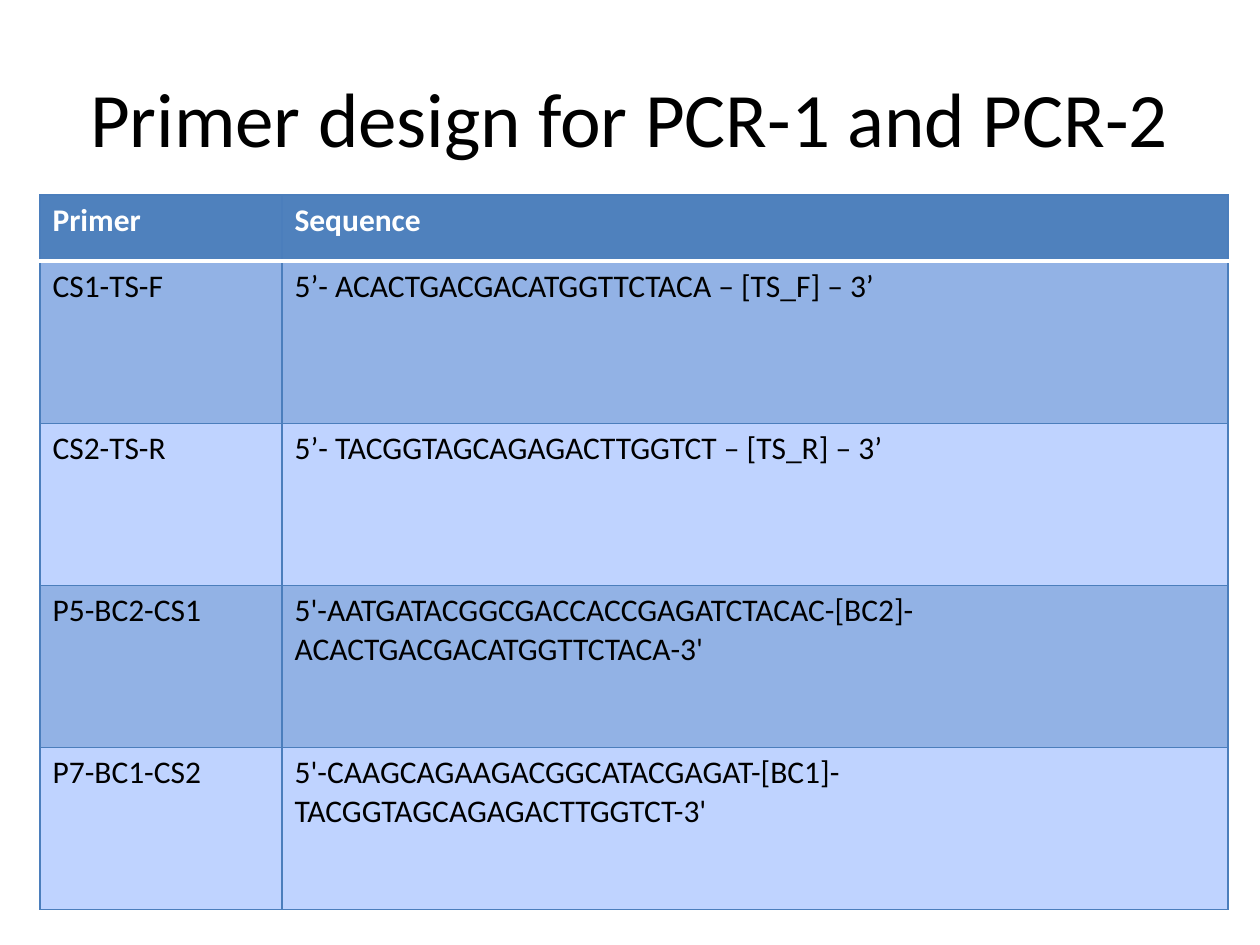
import lxml.etree
import pptx
import pptx.dml.color
import pptx.enum.text
import pptx.oxml.ns
import pptx.util

RGBColor = pptx.dml.color.RGBColor
BLACK = RGBColor(0x00, 0x00, 0x00)
WHITE = RGBColor(0xFF, 0xFF, 0xFF)
HEADER = RGBColor(0x4F, 0x81, 0xBD)
BAND_DARK = RGBColor(0x92, 0xB2, 0xE5)
BAND_LIGHT = RGBColor(0xBF, 0xD3, 0xFF)
BORDER = RGBColor(0x4B, 0x7E, 0xBC)

FONT = "Calibri"
PX_PER_INCH = 126
PRIMERS = [
    ("Primer", "Sequence"),
    ("CS1-TS-F", "5’- ACACTGACGACATGGTTCTACA – [TS_F] – 3’"),
    ("CS2-TS-R", "5’- TACGGTAGCAGAGACTTGGTCT – [TS_R] – 3’"),
    ("P5-BC2-CS1", "5'-AATGATACGGCGACCACCGAGATCTACAC-[BC2]-ACACTGACGACATGGTTCTACA-3'"),
    ("P7-BC1-CS2", "5'-CAAGCAGAAGACGGCATACGAGAT-[BC1]-TACGGTAGCAGAGACTTGGTCT-3'"),
]


def px(n):
    return pptx.util.Emu(round(n * 914400 / PX_PER_INCH))


def format_text(tf, size, color, bold=False):
    for p in tf.paragraphs:
        for r in p.runs:
            r.font.name = FONT
            r.font.size = pptx.util.Pt(size)
            r.font.bold = bold
            r.font.color.rgb = color


def set_borders(cell, borders):
    """Draw borders given in the order left, right, top, bottom."""
    tc_pr = cell._tc.get_or_add_tcPr()
    qn = pptx.oxml.ns.qn
    for i, (side, (color, width)) in enumerate(borders.items()):
        ln = lxml.etree.Element(qn(f"a:ln{side}"), w=str(pptx.util.Pt(width)))
        fill = lxml.etree.SubElement(ln, qn("a:solidFill"))
        lxml.etree.SubElement(fill, qn("a:srgbClr"), val=str(color))
        tc_pr.insert(i, ln)


def add_title(slide, box, text):
    title = slide.shapes.title
    title.left, title.top, title.width, title.height = map(px, box)
    tf = title.text_frame
    tf.text = text
    tf.vertical_anchor = pptx.enum.text.MSO_ANCHOR.MIDDLE
    tf.paragraphs[0].alignment = pptx.enum.text.PP_ALIGN.CENTER
    format_text(tf, 44, BLACK)


def add_primer_table(slide, box, rows, name_width, header_height):
    left, top, width, height = box
    table = slide.shapes.add_table(len(rows), 2, *map(px, box)).table

    # Column widths and row heights
    table.columns[0].width = px(name_width)
    table.columns[1].width = px(width - name_width)
    body_height = (height - header_height) / (len(rows) - 1)
    for i, row in enumerate(table.rows):
        row.height = px(body_height if i else header_height)

    # Text, fills and borders
    thin, rule = (BORDER, 0.75), (WHITE, 2)
    for i, values in enumerate(rows):
        is_header = i == 0
        band = BAND_DARK if i % 2 else BAND_LIGHT
        for j, value in enumerate(values):
            cell = table.cell(i, j)
            cell.text = value
            format_text(cell.text_frame, 18, WHITE if is_header else BLACK, is_header)
            cell.fill.solid()
            cell.fill.fore_color.rgb = HEADER if is_header else band
            set_borders(cell, {
                "L": thin,
                "R": thin,
                "T": rule if i == 1 else thin,
                "B": rule if is_header else thin,
            })


def main():
    prs = pptx.Presentation()
    prs.slide_width, prs.slide_height = px(1260), px(945)
    slide = prs.slides.add_slide(prs.slide_layouts[5])
    add_title(slide, (63, 38, 1134, 157), "Primer design for PCR-1 and PCR-2")
    add_primer_table(slide, (40, 195, 1188, 715), PRIMERS, name_width=242, header_height=66)
    prs.save("out.pptx")


if __name__ == "__main__":
    main()
